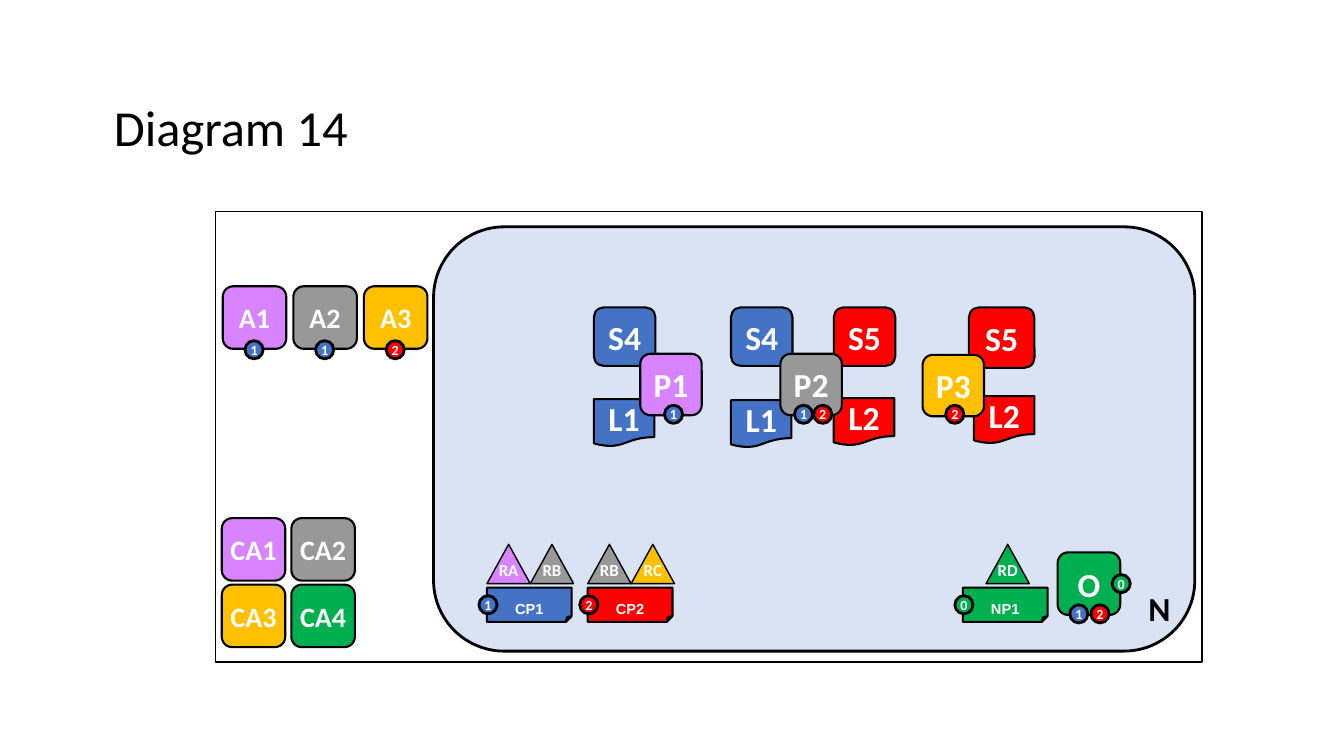
from pptx import Presentation
from pptx.dml.color import RGBColor as RGB
from pptx.enum.shapes import MSO_SHAPE as Kind
from pptx.enum.text import MSO_ANCHOR as Anchor, PP_ALIGN as Align
from pptx.util import Inches, Pt

BLACK = RGB(0x00, 0x00, 0x00)
WHITE = RGB(0xFF, 0xFF, 0xFF)
PALE = RGB(0xDA, 0xE3, 0xF3)
PURPLE = RGB(0xD8, 0x83, 0xFF)
GRAY = RGB(0x98, 0x98, 0x98)
GOLD = RGB(0xFF, 0xC0, 0x00)
GREEN = RGB(0x00, 0xB0, 0x50)
RED = RGB(0xFF, 0x00, 0x00)
BLUE = RGB(0x44, 0x72, 0xC4)

ROUND, PAGE = Kind.ROUNDED_RECTANGLE, Kind.FLOWCHART_DOCUMENT
DOTS = {"0": GREEN, "1": BLUE, "2": RED}

deck = Presentation()
deck.slide_width, deck.slide_height = Inches(13.33), Inches(7.5)
slide = deck.slides.add_slide(deck.slide_layouts[5])


def draw(kind, box, fill, text="", size=24, line=1.5, font="Calibri", top=0.05, low=0.05):
    shape = slide.shapes.add_shape(kind, *map(Inches, box))
    shape.shadow.inherit = False
    if fill is None:
        shape.fill.background()
    else:
        shape.fill.solid()
        shape.fill.fore_color.rgb = fill
    shape.line.color.rgb = BLACK
    shape.line.width = Pt(line)
    if text:
        frame = shape.text_frame
        frame.word_wrap = False
        frame.vertical_anchor = Anchor.MIDDLE
        frame.margin_left = frame.margin_right = 0
        frame.margin_top, frame.margin_bottom = Inches(top), Inches(low)
        para = frame.paragraphs[0]
        para.alignment = Align.CENTER
        run = para.add_run()
        run.text = text
        run.font.name, run.font.size, run.font.bold = font, Pt(size), True
        run.font.color.rgb = WHITE
        return run


def dot(x, y, text):
    draw(Kind.OVAL, (x, y, 0.18, 0.18), DOTS[text], text, 10, 2)


# Title
title = slide.shapes.title
title.left, title.top = Inches(1.08), Inches(0.57)
title.width, title.height = Inches(11.5), Inches(1.45)
frame = title.text_frame
frame.word_wrap = True
frame.vertical_anchor = Anchor.MIDDLE
frame.margin_left = frame.margin_right = Inches(0.05)
frame.margin_top = frame.margin_bottom = Inches(0.05)
para = frame.paragraphs[0]
para.alignment, para.line_spacing = Align.LEFT, 0.9
run = para.add_run()
run.text = "Diagram 14"
run.font.name, run.font.size = "Calibri", Pt(36)
run.font.color.rgb = BLACK

# Network area with its label, and the outer border
draw(ROUND, (4.3, 2.25, 7.55, 4.21), PALE, line=2)
label = slide.shapes.add_textbox(Inches(11.28), Inches(5.78), Inches(0.44), Inches(0.5))
label.text_frame.word_wrap = False
para = label.text_frame.paragraphs[0]
para.alignment = Align.CENTER
run = para.add_run()
run.text = "N"
run.font.name, run.font.size, run.font.bold = "Calibri", Pt(24), True
run.font.color.rgb = BLACK
draw(Kind.RECTANGLE, (2.14, 2.1, 9.78, 4.47), None, line=1)

# Applications
for i, (fill, mark) in enumerate([(PURPLE, "1"), (GRAY, "1"), (GOLD, "2")]):
    x = 2.21 + 0.7 * i
    draw(ROUND, (x, 2.84, 0.63, 0.62), fill, f"A{i + 1}", 20)
    dot(x + 0.22, 3.38, mark)

# Certificate authorities, two by two
for i, fill in enumerate([PURPLE, GRAY, GOLD, GREEN]):
    row, col = divmod(i, 2)
    draw(ROUND, (2.2 + 0.69 * col, 5.14 + 0.66 * row, 0.63, 0.62), fill, f"CA{i + 1}", 20)

# Peers with their ledgers (L) and contracts (S)
for kind, box, fill, text in [
    (PAGE, (9.66, 3.93, 0.6, 0.47), RED, "L2"),
    (ROUND, (9.61, 3.05, 0.65, 0.6), RED, "S5"),
    (ROUND, (9.15, 3.52, 0.61, 0.61), GOLD, "P3"),
    (PAGE, (5.89, 3.96, 0.6, 0.47), BLUE, "L1"),
    (ROUND, (5.89, 3.05, 0.61, 0.58), BLUE, "S4"),
    (ROUND, (6.35, 3.51, 0.61, 0.61), PURPLE, "P1"),
    (PAGE, (7.25, 3.97, 0.6, 0.47), BLUE, "L1"),
    (PAGE, (8.27, 3.95, 0.6, 0.47), RED, "L2"),
    (ROUND, (7.25, 3.05, 0.61, 0.58), BLUE, "S4"),
    (ROUND, (8.27, 3.05, 0.61, 0.58), RED, "S5"),
    (ROUND, (7.74, 3.51, 0.61, 0.61), GRAY, "P2"),
]:
    draw(kind, box, fill, text)
for x, mark in [(9.38, "2"), (6.59, "1"), (7.88, "1"), (8.07, "2")]:
    dot(x, 4.02, mark)

# Orderer
draw(ROUND, (10.49, 5.48, 0.62, 0.62), GREEN, "O")
for x, y, mark in [(10.82, 6, "2"), (10.61, 6, "1"), (11.03, 5.7, "0")]:
    dot(x, y, mark)

# Policies, each under its organizations
for x, text, mark, start, orgs in [
    (9.55, "NP1", "0", 9.78, [("RD", GREEN)]),
    (4.83, "CP1", "1", 4.83, [("RA", PURPLE), ("RB", GRAY)]),
    (5.83, "CP2", "2", 5.83, [("RB", GRAY), ("RC", GOLD)]),
]:
    run = draw(Kind.FOLDED_CORNER, (x, 5.83, 0.84, 0.34), DOTS[mark], text, 18,
               font="Arial", low=0.08)
    run.font._element.set("baseline", "-25000")
    for i, (org, fill) in enumerate(orgs):
        draw(Kind.ISOSCELES_TRIANGLE, (start + 0.43 * i, 5.4, 0.43, 0.39), fill, org, 12, 1,
             low=0.12)
    dot(x - 0.08, 5.91, mark)

deck.save("out.pptx")
